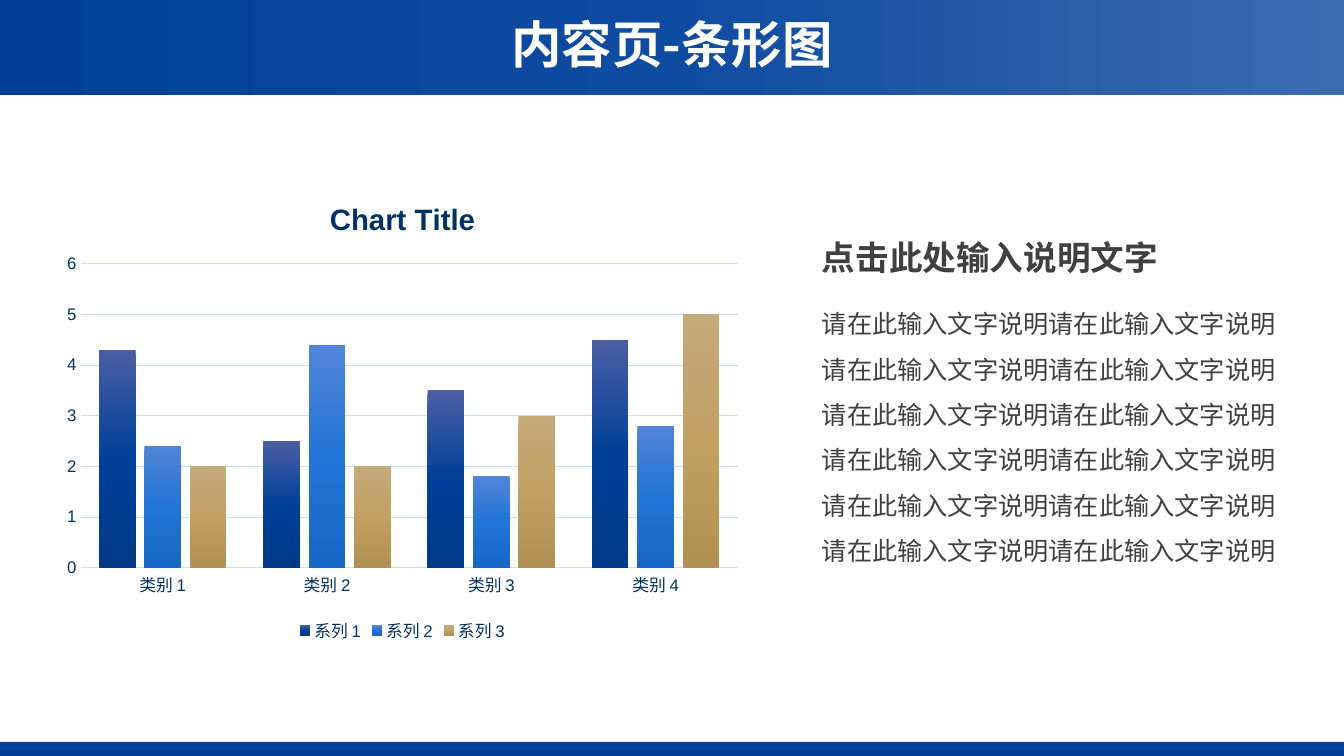
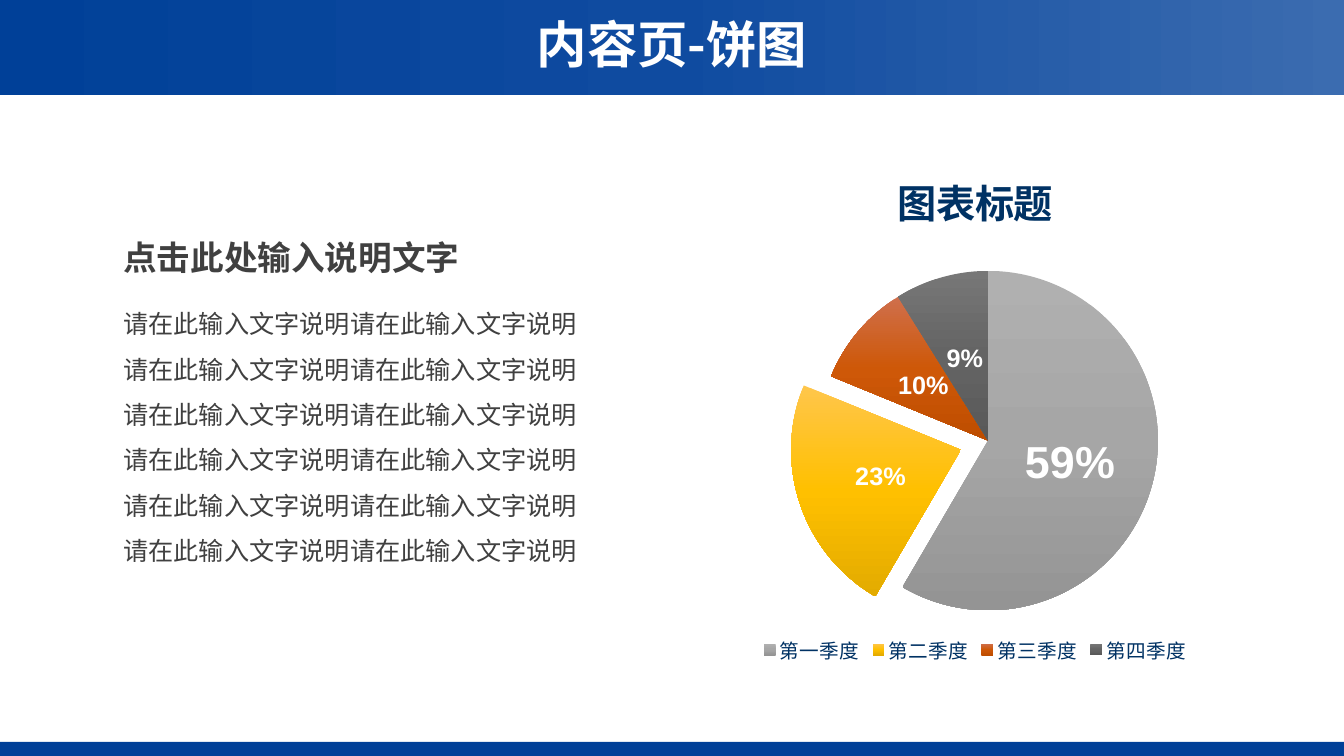
"""Build two chart slides that share a gradient title band and a footer band."""
import copy
from dataclasses import dataclass

from lxml import etree
from pptx import Presentation
from pptx import util as u
from pptx.chart import data as chart_data
from pptx.dml import color
from pptx.enum import chart as charts, shapes, text
from pptx.oxml import ns

Pt = u.Pt


@dataclass(frozen=True)
class Theme:
    latin: str = "Arial"
    chinese: str = "Noto Sans CJK SC"
    blue: str = "004098"
    navy: str = "003264"
    grid: str = "C2E0FF"
    body: str = "404040"
    white: str = "FFFFFF"
    band: tuple = ("004098", "0F4BA0", "3B6CB0")
    columns: tuple = (
        ("4B5EA3", "004098", "003987"),
        ("5285D8", "2374D7", "1867C7"),
        ("C5AA7B", "C1A064", "B19054"),
    )
    slices: tuple = (
        ("B0B0B0", "A6A6A6", "949494"),
        ("FFC64B", "FFC000", "E3AB00"),
        ("CF6F4C", "CE5808", "BE4D00"),
        ("777777", "646464", "595959"),
    )
    title_size: int = 36
    heading_size: int = 24
    body_size: int = 18
    column_title_size: int = 21
    pie_title_size: int = 28
    axis_size: int = 12
    pie_legend_size: int = 14
    label_size: int = 18
    main_label_size: int = 32


THEME = Theme()


def rgb(value):
    return color.RGBColor.from_string(value)


def format_font(font, size, shade, name=THEME.latin, bold=False):
    font.name, font.size, font.bold = name, Pt(size), bold
    font.color.rgb = rgb(shade)


def write(frame, content, *, size, shade, name=THEME.chinese, bold=False,
          align=None, spacing=None):
    paragraph = frame.paragraphs[0]
    if align is not None:
        paragraph.alignment = align
    if spacing is not None:
        paragraph.line_spacing = spacing
    run = paragraph.add_run()
    run.text = content
    format_font(run.font, size, shade, name, bold)
    east_asian = etree.SubElement(run._r.get_or_add_rPr(), ns.qn("a:ea"))
    east_asian.set("typeface", name)


def fill_gradient(fill, shades, angle):
    fill.gradient()
    fill.gradient_angle = angle
    first = fill.gradient_stops[0]._gs
    first.addnext(copy.deepcopy(first))
    for stop, shade, position in zip(fill.gradient_stops, shades, (0, 0.5, 1)):
        stop.color.rgb = rgb(shade)
        stop.position = position


class Deck:
    def __init__(self, theme):
        self.theme = theme
        self.presentation = Presentation()
        self.presentation.slide_width = Pt(960)
        self.presentation.slide_height = Pt(540)
        self.slide = None

    def add_slide(self, title):
        theme = self.theme
        layout = self.presentation.slide_layouts.get_by_name("Title Only")
        self.slide = self.presentation.slides.add_slide(layout)
        shape = self.slide.shapes.title
        shape.left, shape.top, shape.width, shape.height = Pt(0), Pt(0), Pt(960), Pt(68)
        fill_gradient(shape.fill, theme.band, 0)
        frame = shape.text_frame
        frame.auto_size = text.MSO_AUTO_SIZE.NONE
        frame.vertical_anchor = text.MSO_ANCHOR.MIDDLE
        write(frame, title, size=theme.title_size, shade=theme.white, bold=True,
              align=text.PP_ALIGN.CENTER, spacing=0.9)
        self.add_band(530, 10)

    def add_band(self, top, height):
        shape = self.slide.shapes.add_shape(
            shapes.MSO_SHAPE.RECTANGLE, Pt(0), Pt(top), Pt(960), Pt(height))
        shape.shadow.inherit = False
        shape.fill.solid()
        shape.fill.fore_color.rgb = rgb(self.theme.blue)
        shape.line.fill.background()

    def add_text(self, content, left, top, width, height, wrap=True, **style):
        shape = self.slide.shapes.add_textbox(Pt(left), Pt(top), Pt(width), Pt(height))
        shape.text_frame.word_wrap = wrap
        write(shape.text_frame, content, shade=self.theme.body, **style)

    def add_description(self, left):
        self.add_text("请在此输入文字说明" * 12, left, 206, 346, 204,
                      size=self.theme.body_size, spacing=1.5)
        self.add_text("点击此处输入说明文字", left, 166, 257, 36, wrap=False,
                      size=self.theme.heading_size, bold=True)

    def add_chart(self, kind, data, box, title, title_size, title_font, legend_size):
        theme = self.theme
        chart = self.slide.shapes.add_chart(kind, *map(Pt, box), data).chart
        format_font(chart.font, theme.axis_size, theme.navy)
        chart.has_title = True
        write(chart.chart_title.text_frame, title, size=title_size,
              shade=theme.navy, name=title_font, bold=True)
        chart.chart_title.include_in_layout = False
        chart.has_legend = True
        chart.legend.position = charts.XL_LEGEND_POSITION.BOTTOM
        chart.legend.include_in_layout = False
        format_font(chart.legend.font, legend_size, theme.navy)
        return chart

    def add_column_chart(self, categories, series_values, box, title):
        theme = self.theme
        data = chart_data.CategoryChartData()
        data.categories = categories
        for name, values in series_values.items():
            data.add_series(name, values)
        chart = self.add_chart(charts.XL_CHART_TYPE.COLUMN_CLUSTERED, data, box, title,
                               theme.column_title_size, theme.latin, theme.axis_size)
        plot = chart.plots[0]
        plot.gap_width, plot.overlap, plot.vary_by_categories = 100, -24, False
        for series, shades in zip(plot.series, theme.columns):
            series.invert_if_negative = False
            fill_gradient(series.format.fill, shades, 270)
        for axis in (chart.category_axis, chart.value_axis):
            axis.major_tick_mark = axis.minor_tick_mark = charts.XL_TICK_MARK.NONE
            format_font(axis.tick_labels.font, theme.axis_size, theme.navy)
        axis = chart.value_axis
        axis.minimum_scale, axis.maximum_scale, axis.major_unit = 0, 6, 1
        axis.format.line.fill.background()
        for line in (chart.category_axis.format.line, axis.major_gridlines.format.line):
            line.color.rgb = rgb(theme.grid)
            line.width = Pt(0.75)

    def add_pie_chart(self, categories, values, box, title, exploded):
        theme = self.theme
        data = chart_data.CategoryChartData()
        data.categories = categories
        data.add_series("Series 1", values)
        chart = self.add_chart(charts.XL_CHART_TYPE.PIE, data, box, title,
                               theme.pie_title_size, theme.chinese, theme.pie_legend_size)
        plot = chart.plots[0]
        plot.vary_by_categories = True
        series = plot.series[0]
        for index, shades in enumerate(theme.slices):
            fill_gradient(series.points[index].format.fill, shades, 270)
        properties = series._element.get_or_add_dPt_for_point(exploded).find(ns.qn("c:spPr"))
        explosion = etree.Element(ns.qn("c:explosion"), val="17")
        properties.addprevious(explosion)
        self.label_slices(series)
        self.place_plot(chart, x=0.08, y=0.24, w=0.88, h=0.65)

    def label_slices(self, series):
        theme = self.theme
        labels = series.data_labels
        labels.show_value = True
        labels.number_format = '0"%"'
        labels.number_format_is_linked = False
        labels.position = charts.XL_LABEL_POSITION.CENTER
        format_font(labels.font, theme.label_size, theme.white, bold=True)
        label = series.points[0].data_label
        format_font(label.font, theme.main_label_size, theme.white, bold=True)
        label.position = charts.XL_LABEL_POSITION.CENTER
        number_format = labels._element.find(ns.qn("c:numFmt"))
        label_element = label._get_or_add_dLbl()
        first = label_element.find(ns.qn("c:spPr"))
        if first is None:
            first = label_element.find(ns.qn("c:txPr"))
        first.addprevious(copy.deepcopy(number_format))

    def place_plot(self, chart, **fractions):
        area = chart._chartSpace.chart.plotArea
        for old in area.findall(ns.qn("c:layout")):
            area.remove(old)
        layout = etree.Element(ns.qn("c:layout"))
        manual = etree.SubElement(layout, ns.qn("c:manualLayout"))
        settings = {"layoutTarget": "inner", "xMode": "edge", "yMode": "edge", **fractions}
        for name, value in settings.items():
            etree.SubElement(manual, ns.qn(f"c:{name}"), val=str(value))
        area.insert(0, layout)


def main():
    deck = Deck(THEME)

    deck.add_slide("内容页-条形图")
    deck.add_column_chart(
        [f"类别 {number}" for number in range(1, 5)],
        {"系列 1": (4.3, 2.5, 3.5, 4.5),
         "系列 2": (2.4, 4.4, 1.8, 2.8),
         "系列 3": (2, 2, 3, 5)},
        (38, 129, 499, 333), "Chart Title")
    deck.add_description(580)

    deck.add_slide("内容页-饼图")
    deck.add_pie_chart(
        ("第一季度", "第二季度", "第三季度", "第四季度"), (59, 23, 10, 9),
        (462, 104, 469, 373), "图表标题", exploded=1)
    deck.add_description(81)

    deck.presentation.save("out.pptx")


if __name__ == "__main__":
    main()
